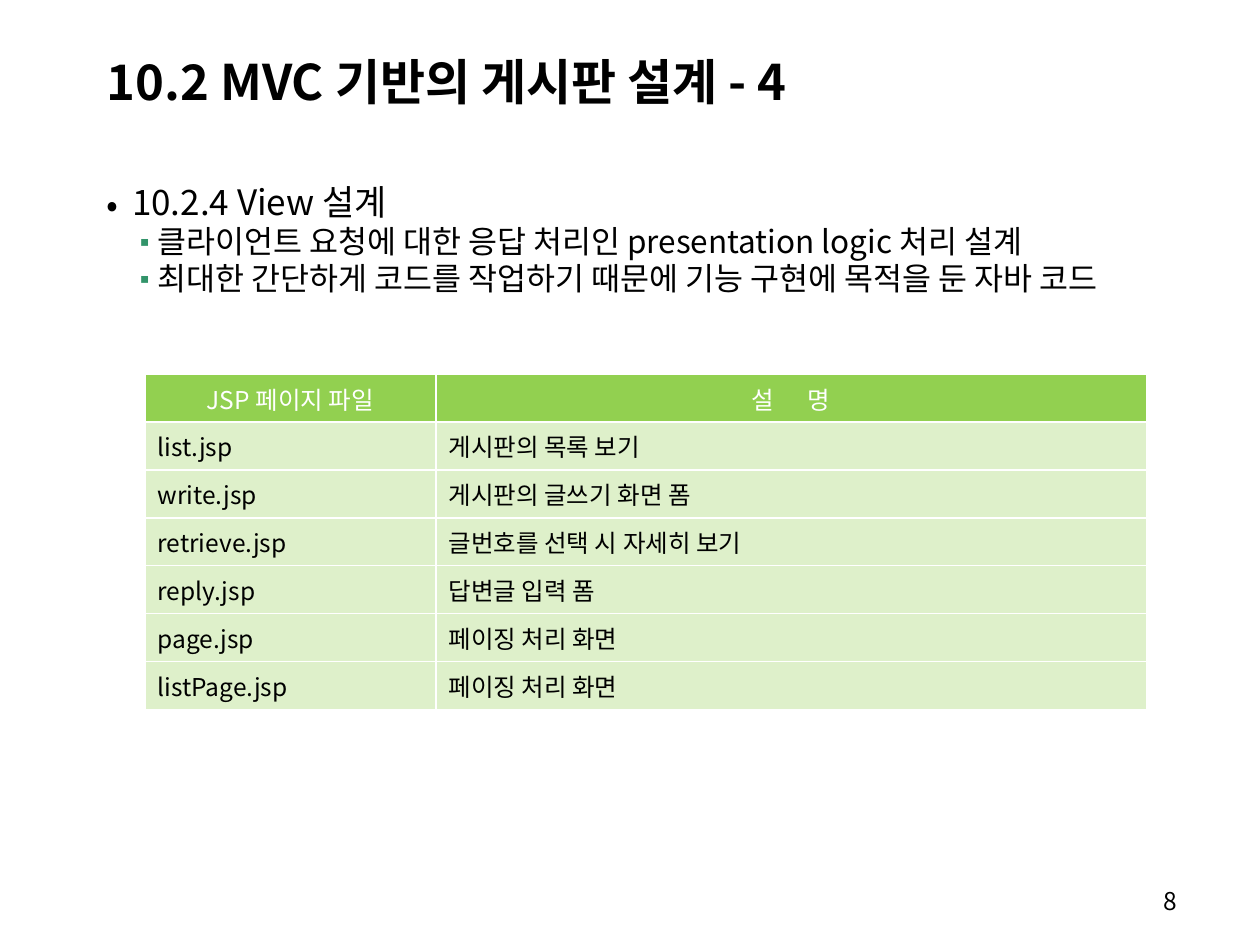
from lxml import etree
from pptx import Presentation
from pptx.dml.color import RGBColor
from pptx.enum import text as t
from pptx.oxml import ns
from pptx.util import Inches, Pt

FONT = "Noto Sans CJK KR"
COLORS = {"ink": "000000", "white": "FFFFFF", "green": "92D050", "marker": "32946A"}

TITLE = "10.2 MVC 기반의 게시판 설계 - 4"
OUTLINE = [
    (0, "10.2.4 View 설계"),
    (1, "클라이언트 요청에 대한 응답 처리인 presentation logic 처리 설계"),
    (1, "최대한 간단하게 코드를 작업하기 때문에 기능 구현에 목적을 둔 자바 코드"),
]
LEVELS = [
    {"size": 20, "bullet": "•", "before": 0},
    {"size": 18, "bullet": "▪", "before": 1.8, "marker": "marker", "marker_size": 80},
]
HEADINGS = [("JSP 페이지 파일", 0), ("설 명", 8)]  # text, letter spacing in points
PAGES = [
    ("list.jsp", "게시판의 목록 보기"),
    ("write.jsp", "게시판의 글쓰기 화면 폼"),
    ("retrieve.jsp", "글번호를 선택 시 자세히 보기"),
    ("reply.jsp", "답변글 입력 폼"),
    ("page.jsp", "페이징 처리 화면"),
    ("listPage.jsp", "페이징 처리 화면"),
]
PAGE_NUMBER = "8"
COLUMN_WIDTHS = [2.31, 5.64]
ROW_HEIGHT = 0.38
INDENT = 0.2


def add_xml(parent, tag, **attributes):
    return etree.SubElement(parent, ns.qn(tag), attributes)


def write(paragraph, words, size=14, color="ink", bold=False, align=t.PP_ALIGN.LEFT,
          spacing=0):
    paragraph.alignment = align
    run = paragraph.add_run()
    run.text = words
    run.font.name = FONT
    run.font.size = Pt(size)
    run.font.bold = bold
    run.font.color.rgb = RGBColor.from_string(COLORS[color])
    properties = run.font._element
    add_xml(properties, "a:ea", typeface=FONT)
    if spacing:
        properties.set("spc", str(spacing * 100))


def hang(paragraph, left, by):
    """Indent a paragraph and pull its first line back."""
    properties = paragraph._p.get_or_add_pPr()
    properties.set("marL", str(Inches(left)))
    properties.set("indent", str(-Inches(by)))
    return properties


def add_frame(slide, left, top, width, height, anchor=t.MSO_ANCHOR.TOP):
    frame = slide.shapes.add_textbox(*map(Inches, (left, top, width, height))).text_frame
    frame.word_wrap = True
    frame.vertical_anchor = anchor
    return frame


def add_outline(slide):
    frame = add_frame(slide, 0.75, 1.42, 8.73, 5.33)
    for index, (level, words) in enumerate(OUTLINE):
        style = LEVELS[level]
        paragraph = frame.add_paragraph() if index else frame.paragraphs[0]
        paragraph.level = level
        paragraph.line_spacing = 0.9
        paragraph.space_before = Pt(style["before"])
        properties = hang(paragraph, INDENT * (level + 1), INDENT)
        if "marker" in style:
            add_xml(add_xml(properties, "a:buClr"), "a:srgbClr", val=COLORS[style["marker"]])
            add_xml(properties, "a:buSzPct", val=str(style["marker_size"] * 1000))
        add_xml(properties, "a:buFont", typeface=FONT)
        add_xml(properties, "a:buChar", char=style["bullet"])
        write(paragraph, words, size=style["size"])


def paint(cell, opacity=100):
    """Fill a cell green and give it white borders."""
    cell.vertical_anchor = t.MSO_ANCHOR.MIDDLE
    cell.fill.solid()
    cell.fill.fore_color.rgb = RGBColor.from_string(COLORS["green"])
    properties = cell._tc.get_or_add_tcPr()
    if opacity < 100:
        add_xml(properties.find(".//" + ns.qn("a:srgbClr")), "a:alpha",
                val=str(opacity * 1000))
    for position, side in enumerate("LRTB"):
        border = add_xml(properties, f"a:ln{side}", w=str(Pt(1)))
        add_xml(add_xml(border, "a:solidFill"), "a:srgbClr", val=COLORS["white"])
        properties.insert(position, border)


def add_page_table(slide):
    row_count = len(PAGES) + 1
    table = slide.shapes.add_table(
        row_count, len(COLUMN_WIDTHS), Inches(1.15), Inches(2.97),
        Inches(sum(COLUMN_WIDTHS)), Inches(ROW_HEIGHT * row_count)).table
    table.horz_banding = False
    for column, width in zip(table.columns, COLUMN_WIDTHS):
        column.width = Inches(width)
    for index, (heading, spacing) in enumerate(HEADINGS):
        cell = table.cell(0, index)
        paint(cell)
        write(cell.text_frame.paragraphs[0], heading, color="white",
              align=t.PP_ALIGN.CENTER, spacing=spacing)
    for row, page in enumerate(PAGES, 1):
        for index, words in enumerate(page):
            cell = table.cell(row, index)
            paint(cell, opacity=30)
            paragraph = cell.text_frame.paragraphs[0]
            write(paragraph, words)
            if index:
                hang(paragraph, 0.1, 0.1)


def main():
    deck = Presentation()
    deck.slide_width, deck.slide_height = Inches(10), Inches(7.5)
    slide = deck.slides.add_slide(deck.slide_layouts[6])
    title = add_frame(slide, 0.75, 0.13, 9.25, 1.02, t.MSO_ANCHOR.MIDDLE)
    write(title.paragraphs[0], TITLE, size=28, bold=True)
    add_outline(slide)
    number = add_frame(slide, 7.36, 6.98, 2.08, 0.35)
    write(number.paragraphs[0], PAGE_NUMBER, align=t.PP_ALIGN.RIGHT)
    add_page_table(slide)
    deck.save("out.pptx")


if __name__ == "__main__":
    main()
